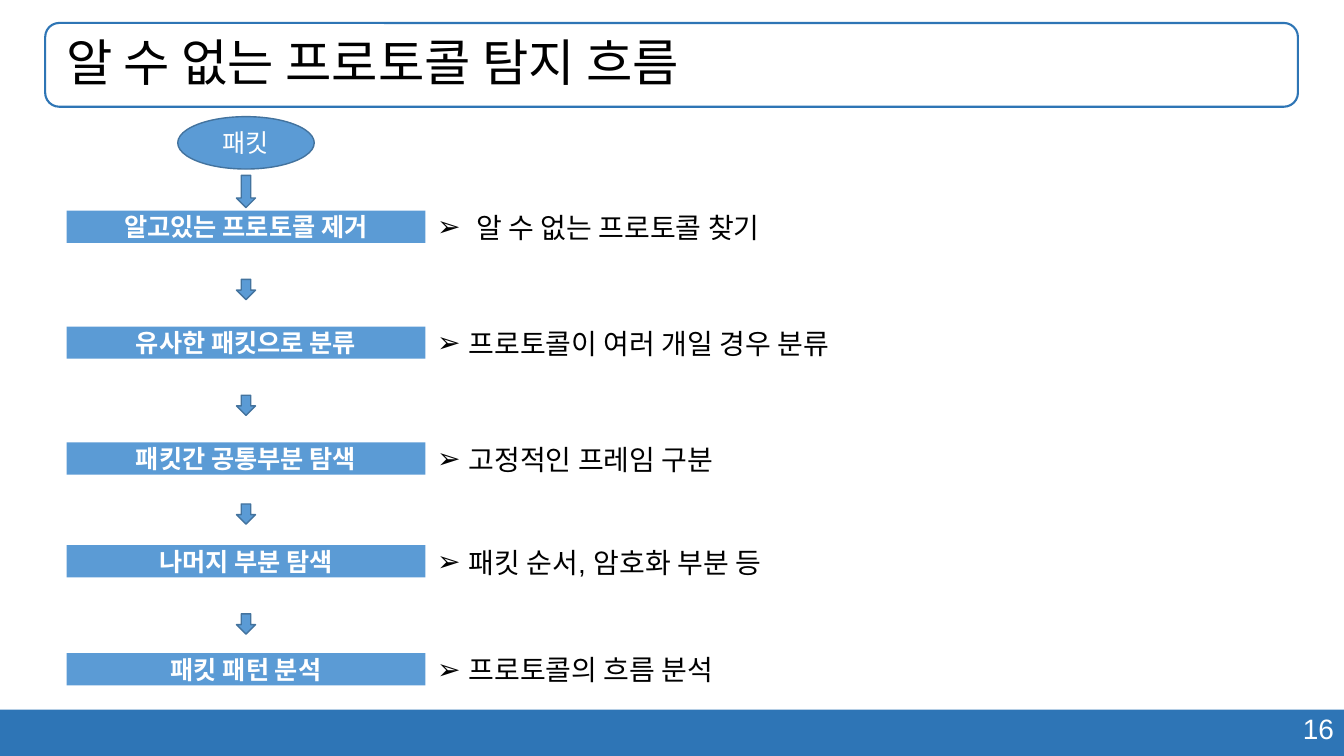
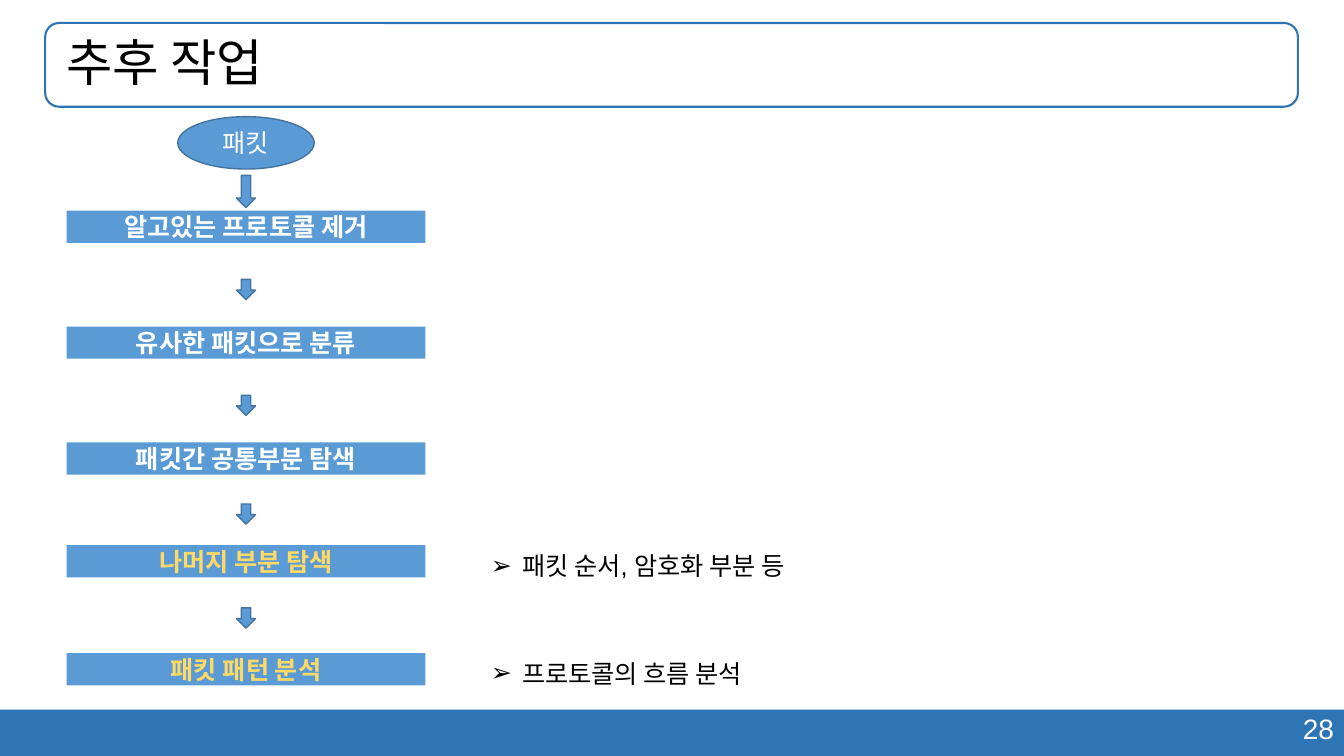
from lxml.etree import SubElement
from pptx import Presentation
from pptx.dml.color import RGBColor
from pptx.enum.shapes import MSO_SHAPE as Kind
from pptx.enum.text import MSO_ANCHOR as Anchor, MSO_AUTO_SIZE as Auto, PP_ALIGN as Align
from pptx.oxml.ns import qn
from pptx.util import Cm, Pt

FONT = "Arial"
HEX = {"band": "2E75B6", "frame": "2E75B5", "box": "5B9BD5", "edge": "43739E",
       "white": "FFFFFF", "black": "000000", "gold": "FFD966"}

# Vertical places in cm
STEPS = [("알고있는 프로토콜 제거", 5.31), ("유사한 패킷으로 분류", 8.23),
         ("패킷간 공통부분 탐색", 11.15), ("나머지 부분 탐색", 13.74),
         ("패킷 패턴 분석", 16.46)]
ARROWS = [7.04, 9.96, 12.7]

# Notes: step index, text, box width, text indent
SLIDES = [
    {"title": "알 수 없는 프로토콜 탐지 흐름", "page": "16", "gold": [], "last": 15.47,
     "left": 10.77, "rise": 0.13, "tall": 1.12, "size": 20, "wrap": True,
     "notes": [(0, "알 수 없는 프로토콜 찾기", 18.67, 0.99),
               (1, "프로토콜이 여러 개일 경우 분류", 15.42, 0.79),
               (2, "고정적인 프레임 구분", 14.99, 0.79),
               (3, "패킷 순서, 암호화 부분 등", 15.42, 0.79),
               (4, "프로토콜의 흐름 분석", 15.42, 0.79)]},
    {"title": "추후 작업", "page": "28", "gold": [3, 4], "last": 15.32,
     "left": 12.12, "rise": 0, "tall": 1.02, "size": 18, "wrap": False,
     "notes": [(3, "패킷 순서, 암호화 부분 등", 8.61, 0.79),
               (4, "프로토콜의 흐름 분석", 7.44, 0.79)]},
]

WIDE, HIGH = 33.87, 19.05
FRAME = (1.14, 0.58, 31.57, 2.11)
MID = 6.2            # axis of the flow
STEP_W, STEP_H = 9.04, 0.81
ARROW_W, ARROW_H = 0.48, 0.51


def rgb(name):
    return RGBColor.from_string(HEX[name])


def write(par, text, size, color="black", bold=False):
    run = par.add_run()
    run.text = text
    font = run.font
    font.name, font.size, font.bold = FONT, Pt(size), bold
    font.color.rgb = rgb(color)


def draw(slide, kind, at, fill=None, line=None, width=1):
    shape = slide.shapes.add_shape(kind, *map(Cm, at))
    shape.shadow.inherit = False
    if fill:
        shape.fill.solid()
        shape.fill.fore_color.rgb = rgb(fill)
    else:
        shape.fill.background()
    if line:
        shape.line.color.rgb = rgb(line)
        shape.line.width = Pt(width)
    else:
        shape.line.fill.background()
    return shape


def label(shape, text, color="white", bold=False):
    frame = shape.text_frame
    frame.vertical_anchor = Anchor.MIDDLE
    par = frame.paragraphs[0]
    par.alignment = Align.CENTER
    write(par, text, 18, color, bold)


def textbox(slide, at, wrap=True):
    frame = slide.shapes.add_textbox(*map(Cm, at)).text_frame
    frame.word_wrap = wrap
    frame.auto_size = Auto.SHAPE_TO_FIT_TEXT
    return frame.paragraphs[0]


def bullet(par, indent):
    props = par._p.get_or_add_pPr()
    props.set("marL", str(Cm(indent)))
    props.set("indent", str(-Cm(indent)))
    SubElement(props, qn("a:buFont")).set("typeface", FONT)
    SubElement(props, qn("a:buChar")).set("char", "➢")


def base(slide, title, page):
    """Draw the title, its frame, the bottom band and the page number."""
    draw(slide, Kind.RECTANGLE, (0, 17.88, WIDE, HIGH - 17.88), "band")
    par = textbox(slide, (23.95, 17.81, 9.92, 1.12))
    par.alignment = Align.RIGHT
    write(par, page, 20, "white")
    draw(slide, Kind.ROUNDED_RECTANGLE, FRAME, line="frame", width=1.5)

    head = slide.shapes.title
    head.left, head.top, head.width, head.height = map(Cm, FRAME)
    frame = head.text_frame
    frame.auto_size = Auto.NONE
    frame.vertical_anchor = Anchor.MIDDLE
    frame.margin_left, frame.margin_right = Cm(0.53), Cm(0.18)
    frame.margin_top = frame.margin_bottom = Cm(0.1)
    par = frame.paragraphs[0]
    par.alignment, par.line_spacing = Align.LEFT, 0.9
    write(par, title, 36)


def arrow(slide, top, tall=ARROW_H):
    draw(slide, Kind.DOWN_ARROW, (MID - ARROW_W / 2, top, ARROW_W, tall), "box", "edge")


def flow(slide, gold, last):
    label(draw(slide, Kind.OVAL, (MID - 1.72, 2.94, 3.44, 1.32), "box", "edge"), "패킷")
    arrow(slide, 4.42, 0.81)
    for top in ARROWS + [last]:
        arrow(slide, top)
    for i, (text, top) in enumerate(STEPS):
        box = draw(slide, Kind.RECTANGLE, (MID - STEP_W / 2, top, STEP_W, STEP_H), "box")
        label(box, text, "gold" if i in gold else "white", True)


def main():
    prs = Presentation()
    prs.slide_width, prs.slide_height = Cm(WIDE), Cm(HIGH)
    for data in SLIDES:
        slide = prs.slides.add_slide(prs.slide_layouts[5])
        base(slide, data["title"], data["page"])
        flow(slide, data["gold"], data["last"])
        for i, text, width, indent in data["notes"]:
            top = STEPS[i][1] - data["rise"]
            par = textbox(slide, (data["left"], top, width, data["tall"]), data["wrap"])
            bullet(par, indent)
            write(par, text, data["size"])
    prs.save("out.pptx")


if __name__ == "__main__":
    main()
